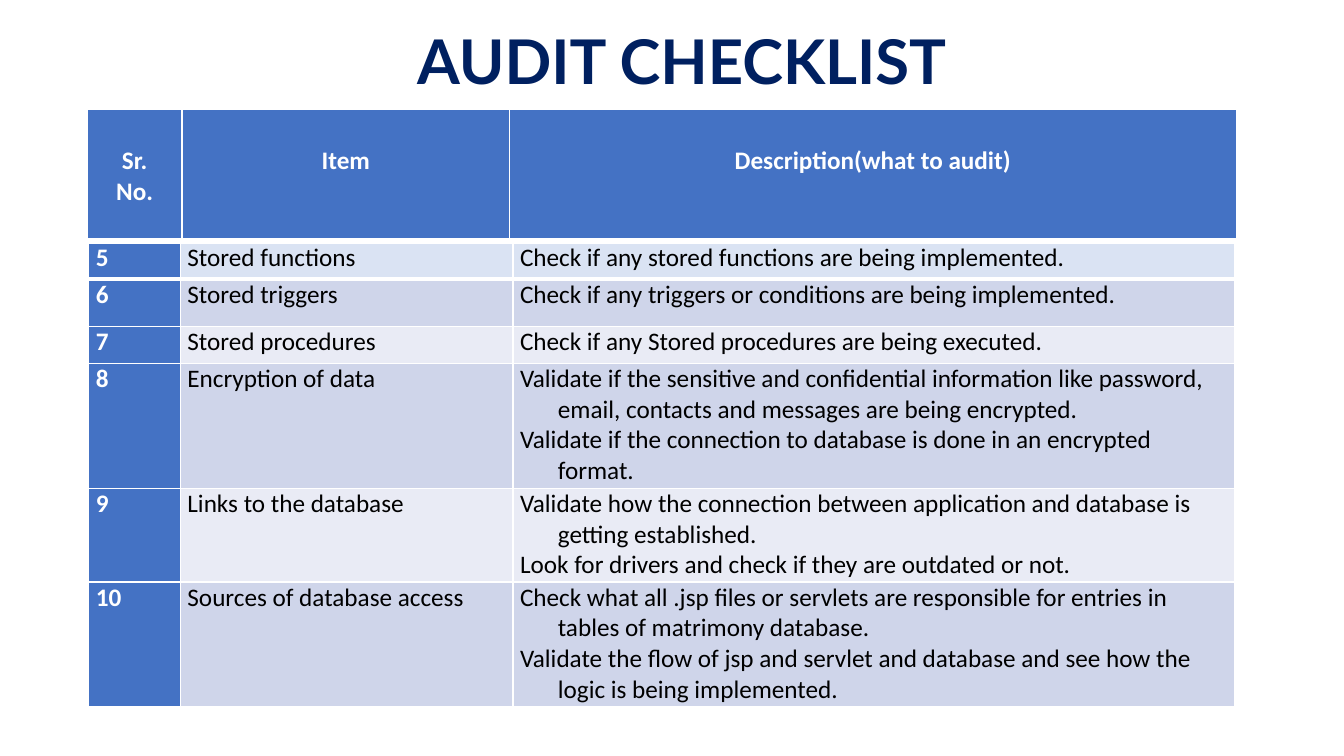
from lxml import etree
from pptx import Presentation
from pptx.dml.color import RGBColor
from pptx.enum import text
from pptx.oxml import ns
from pptx.util import Pt

COLORS = {
    "title": "002060",
    "header": "4472C4",
    "first": "DAE3F3",
    "dark": "CFD5EA",
    "light": "E9EBF5",
    "white": "FFFFFF",
    "black": "000000",
}


def add_grid(left, top, widths, heights):
    """Add a table with no banding and the given column widths and row heights."""
    grid = slide.shapes.add_table(
        len(heights), len(widths), Pt(left), Pt(top), Pt(sum(widths)), Pt(sum(heights))
    ).table
    grid.first_row = grid.horz_banding = False
    for column, width in zip(grid.columns, widths):
        column.width = Pt(width)
    for row, height in zip(grid.rows, heights):
        row.height = Pt(height)
    return grid


def fill_cell(cell, lines, fill, color, bold, top_line=1, bottom_line=1):
    """Write the lines into a cell and set its white borders, fill and font."""
    properties = cell._tc.get_or_add_tcPr()
    for side, width in (("L", 1), ("R", 1), ("T", top_line), ("B", bottom_line)):
        border = etree.SubElement(properties, ns.qn(f"a:ln{side}"), w=str(Pt(width)))
        solid = etree.SubElement(border, ns.qn("a:solidFill"))
        etree.SubElement(solid, ns.qn("a:srgbClr"), val=COLORS["white"])
    cell.fill.solid()
    cell.fill.fore_color.rgb = RGBColor.from_string(COLORS[fill])
    cell.margin_left = cell.margin_right = Pt(5)
    cell.margin_top = cell.margin_bottom = 0
    cell.text_frame.text = "\n".join(lines)
    for paragraph in cell.text_frame.paragraphs:
        font = paragraph.runs[0].font
        font.name, font.size, font.bold = "Calibri", Pt(18), bold
        font.color.rgb = RGBColor.from_string(COLORS[color])


deck = Presentation()
deck.slide_width, deck.slide_height = Pt(960), Pt(540)
slide = deck.slides.add_slide(deck.slide_layouts[6])

# Title
title = slide.shapes.add_textbox(Pt(298), Pt(28.8), Pt(440), Pt(80.6)).text_frame
title.word_wrap = True
title.margin_left = title.margin_right = title.margin_top = title.margin_bottom = 0
title.text = "AUDIT CHECKLIST"
heading = title.paragraphs[0]
heading.line_spacing = Pt(40)
heading_font = heading.runs[0].font
heading_font.name, heading_font.size, heading_font.bold = "Lato", Pt(44), True
heading_font.color.rgb = RGBColor.from_string(COLORS["title"])

# Checklist items
items = [
    ("Stored functions", ["Check if any stored functions are being implemented."], 26),
    ("Stored triggers", ["Check if any triggers or conditions are being implemented."], 34),
    ("Stored procedures", ["Check if any Stored procedures are being executed."], 26),
    ("Encryption of data", [
        "Validate if the sensitive and confidential information like password, "
        "email, contacts and messages are being encrypted.",
        "Validate if the connection to database is done in an encrypted format.",
    ], 89.3),
    ("Links to the database", [
        "Validate how the connection between application and database is "
        "getting established.",
        "Look for drivers and check if they are outdated or not.",
    ], 67),
    ("Sources of database access", [
        "Check what all .jsp files or servlets are responsible for entries in "
        "tables of matrimony database.",
        "Validate the flow of jsp and servlet and database and see how the "
        "logic is being implemented.",
    ], 89.3),
]
checklist = add_grid(63.4, 173.5, [65.5, 237.6, 515.5], [item[2] for item in items])
for index, (item, checks, _) in enumerate(items):
    band = "first" if index == 0 else ("light", "dark")[index % 2]
    top_line = 3 if index == 1 else 1
    bottom_line = 3 if index == 0 else 1
    number_cell, item_cell, checks_cell = checklist.rows[index].cells
    fill_cell(number_cell, [str(index + 5)], "header", "white", True, top_line, bottom_line)
    fill_cell(item_cell, [item], band, "black", False, top_line, bottom_line)
    fill_cell(checks_cell, checks, band, "black", False, top_line, bottom_line)
    if len(checks) > 1:
        for check in checks_cell.text_frame.paragraphs:
            indent = check._p.get_or_add_pPr()
            indent.set("marL", str(Pt(27)))
            indent.set("indent", str(-Pt(27)))

# Column headings
headings = [["Sr.", "No."], ["Item"], ["Description(what to audit)"]]
header = add_grid(62.3, 78.5, [67.7, 234, 519], [93])
for cell, lines in zip(header.rows[0].cells, headings):
    fill_cell(cell, lines, "header", "white", True, bottom_line=3)
    cell.margin_left = cell.margin_right = Pt(7.2)
    cell.margin_top = Pt(25.6)
    for paragraph in cell.text_frame.paragraphs:
        paragraph.alignment = text.PP_ALIGN.CENTER

deck.save("out.pptx")
